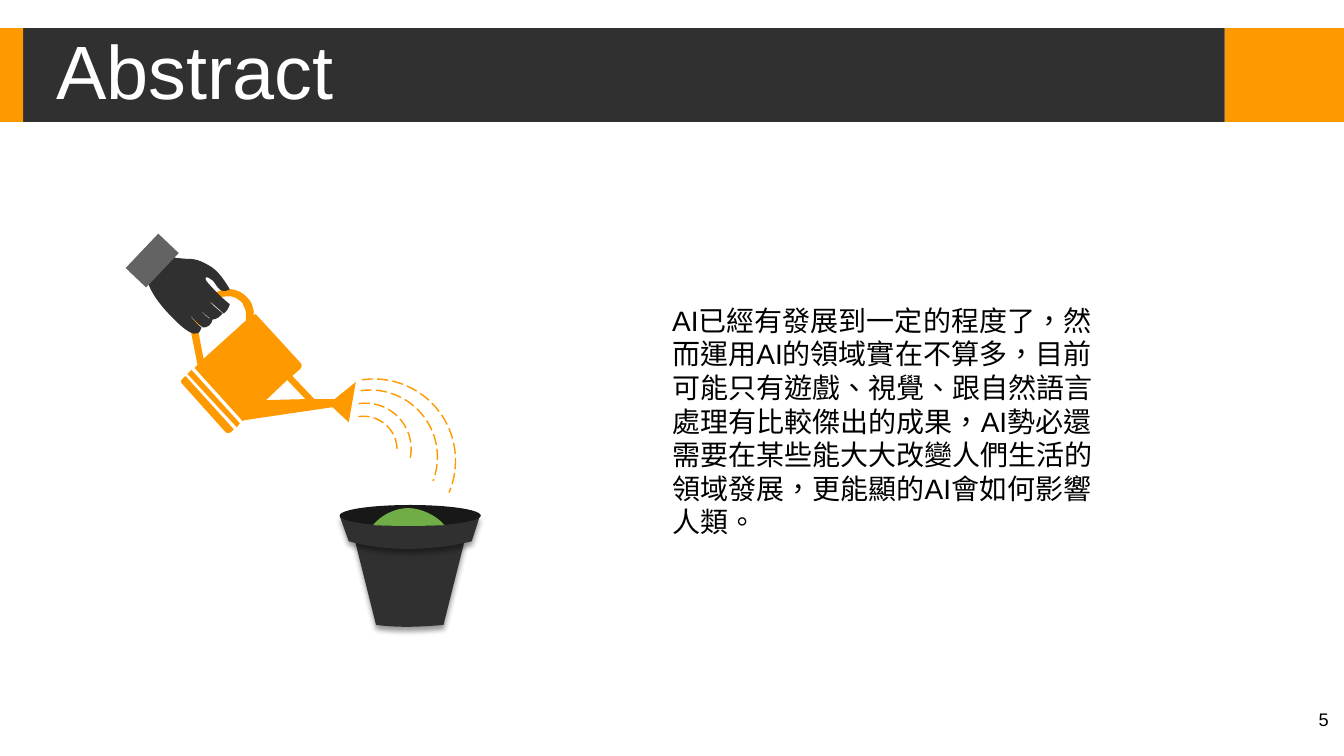
from dataclasses import dataclass

from lxml import etree
from pptx import Presentation
from pptx import util as u
from pptx.dml.color import RGBColor
from pptx.enum import dml, lang, shapes, text
from pptx.oxml import ns
from pptx.shapes.autoshape import Shape
from pptx.shapes.shapetree import GroupShapes, SlideShapes
from pptx.text.text import TextFrame

CELL = u.Inches(0.01)
COLUMNS, ROWS = 1333.33, 750
Canvas = SlideShapes | GroupShapes
Point = tuple[float, float]


@dataclass(frozen=True)
class Theme:
    font: str = "Arial"
    orange: str = "FE9900"
    dark: str = "303030"
    rim: str = "181818"
    sleeve: str = "636363"
    green: str = "70AD47"
    white: str = "FFFFFF"
    black: str = "000000"
    title_size: int = 54
    body_size: int = 20
    number_size: int = 13


THEME = Theme()


@dataclass(frozen=True)
class Area:
    column: float
    row: float
    columns: float
    rows: float

    def lengths(self) -> list[int]:
        return [round(cells * CELL) for cells in (self.column, self.row, self.columns, self.rows)]


@dataclass(frozen=True)
class Block:
    area: Area
    color: str
    kind: shapes.MSO_SHAPE = shapes.MSO_SHAPE.RECTANGLE
    rotation: float = 0


@dataclass(frozen=True)
class Outline:
    route: str
    color: str
    shadow: bool = False


@dataclass(frozen=True)
class Jet:
    column: float
    row: float
    diameter: float
    end: float


BAR_TOP, BAR_HEIGHT, BAR_SPLIT = 28, 93, 1215
BARS = [
    Block(Area(BAR_SPLIT, BAR_TOP, COLUMNS - BAR_SPLIT, BAR_HEIGHT), THEME.orange),
    Block(Area(0, BAR_TOP, BAR_SPLIT, BAR_HEIGHT), THEME.dark),
    Block(Area(0, BAR_TOP, 23, BAR_HEIGHT), THEME.orange),
]
POT = [
    Outline("M 461 536 L 440 620 C 418 622 396 623 373 620 L 352 536", THEME.dark, True),
    Outline("M 476 512 L 468 537 C 437 545 389 549 346 537 L 337 512", THEME.dark, True),
    Block(Area(337, 501, 140, 21), THEME.rim, shapes.MSO_SHAPE.OVAL),
    Outline("M 370 521 C 378 511 392 504 405 504 C 417 504 433 511 441 521 "
            "C 417 522 393 522 370 521", THEME.green),
]
CAN = Outline(
    "M 184 373 L 232 426 L 229 429 C 227 430 225 430 224 429 L 180 380 C 179 379 179 377 181 376 "
    "M 190 367 L 238 420 L 235 424 L 186 371 "
    "M 285 377 L 264 397 L 303 396 "
    "M 241 301 C 238 298 234 295 229 294 C 224 294 221 294 216 296 C 210 299 205 303 201 309 "
    "L 199 314 C 198 319 197 325 197 330 L 202 356 L 244 318 L 244 312 "
    "C 244 310 244 308 243 306 C 242 304 241 303 241 301 "
    "M 353 379 L 346 419 L 330 404 L 242 417 L 241 418 L 193 365 L 196 362 L 190 332 L 190 326 "
    "C 191 321 192 316 194 311 C 195 307 197 303 201 300 C 207 293 215 289 223 287 "
    "C 231 286 240 289 245 295 C 247 297 249 299 250 302 C 251 304 251 307 252 310 "
    "L 251 312 L 252 312 C 253 312 254 312 254 312 L 299 361 C 300 362 299 365 298 366 "
    "L 290 373 L 312 396 L 332 396", THEME.orange)
HAND = Outline(
    "M 228 287 C 216 294 215 279 209 277 C 207 275 203 274 204 277 C 204 279 212 287 220 295 "
    "L 228 302 C 227 306 224 310 222 311 L 206 297 C 212 304 215 306 221 311 "
    "C 217 315 216 316 212 317 C 206 316 198 306 198 307 C 201 310 205 316 211 317 "
    "C 210 322 206 325 202 325 C 198 324 190 313 189 314 C 192 317 196 323 200 325 "
    "C 198 330 198 331 192 331 C 188 330 182 326 174 318 C 170 314 153 298 147 281 "
    "C 146 275 144 275 141 273 L 165 248 C 169 252 169 255 175 256 C 178 256 183 257 190 257 "
    "C 199 258 203 261 210 265 C 217 270 222 277 228 287", THEME.dark)
SLEEVE = Block(Area(137, 235, 28, 47), THEME.sleeve, rotation=43.5)
JET_START, JET_TILT = 147.86, 15.2
JETS = [Jet(290, 376, 162, 4.71), Jet(301, 387, 133, 3.5), Jet(317, 400, 91, 0), Jet(327, 413, 67, 207.81)]
ABSTRACT = ("AI已經有發展到一定的程度了，然而運用AI的領域實在不算多，目前可能只有遊戲、視覺、"
            "跟自然語言處理有比較傑出的成果，AI勢必還需要在某些能大大改變人們生活的領域發展，"
            "更能顯的AI會如何影響人類。")


def paint(shape: Shape, color: str) -> None:
    shape.shadow.inherit = False
    shape.fill.solid()
    shape.fill.fore_color.rgb = RGBColor.from_string(color)
    shape.line.fill.background()


def add_shadow(shape: Shape) -> None:
    effects = shape.element.spPr.find(ns.qn("a:effectLst"))
    shadow = etree.SubElement(effects, ns.qn("a:outerShdw"), blurRad=str(u.Pt(4)),
                              dist=str(u.Pt(3)), dir="5400000", algn="t", rotWithShape="0")
    tint = etree.SubElement(shadow, ns.qn("a:srgbClr"), val=THEME.black)
    etree.SubElement(tint, ns.qn("a:alpha"), val="40000")


def read_route(route: str) -> list[tuple[str, list[Point]]]:
    steps: list[tuple[str, list[Point]]] = []
    tokens = iter(route.split())
    for command in tokens:
        values = [int(next(tokens)) * CELL for _ in range(6 if command == "C" else 2)]
        steps.append((command, list(zip(values[::2], values[1::2]))))
    return steps


def bend_curves(shape: Shape, steps: list[tuple[str, list[Point]]]) -> None:
    segments = iter(list(shape.element.iter(ns.qn("a:moveTo"), ns.qn("a:lnTo"))))
    for command, points in steps:
        first, *others = [next(segments) for _ in points]
        if command == "C":
            curve = etree.Element(ns.qn("a:cubicBezTo"))
            first.addprevious(curve)
            for segment in (first, *others):
                curve.append(segment[0])
                segment.getparent().remove(segment)


def draw_block(canvas: Canvas, block: Block) -> None:
    shape = canvas.add_shape(block.kind, *block.area.lengths())
    shape.rotation = block.rotation
    paint(shape, block.color)


def draw_outline(canvas: Canvas, outline: Outline) -> None:
    steps = read_route(outline.route)
    builder = canvas.build_freeform(*steps[0][1][0])
    for index, (command, points) in enumerate(steps[1:], start=1):
        if command == "M":
            builder.move_to(*points[0])
        else:
            closes = index + 1 == len(steps) or steps[index + 1][0] == "M"
            builder.add_line_segments(points, close=closes)
    shape = builder.convert_to_shape()
    bend_curves(shape, steps)
    paint(shape, outline.color)
    if outline.shadow:
        add_shadow(shape)


def draw_jet(canvas: Canvas, jet: Jet) -> None:
    area = Area(jet.column, jet.row, jet.diameter, jet.diameter)
    arc = canvas.add_shape(shapes.MSO_SHAPE.ARC, *area.lengths())
    arc.shadow.inherit = False
    arc.rotation = JET_TILT
    arc.adjustments[0] = JET_START
    arc.adjustments[1] = jet.end
    arc.fill.background()
    arc.line.color.rgb = RGBColor.from_string(THEME.orange)
    arc.line.width = u.Pt(1)
    arc.line.dash_style = dml.MSO_LINE.LONG_DASH


def draw_all(canvas: Canvas, parts: list[Block | Outline]) -> None:
    for part in parts:
        if isinstance(part, Block):
            draw_block(canvas, part)
        else:
            draw_outline(canvas, part)


def write(frame: TextFrame, words: str, size: int, color: str, align: text.PP_ALIGN) -> None:
    frame.text = words
    frame.word_wrap = True
    frame.auto_size = text.MSO_AUTO_SIZE.NONE
    para = frame.paragraphs[0]
    para.alignment = align
    span = para.runs[0]
    span.font.name = THEME.font
    span.font.size = u.Pt(size)
    span.font.color.rgb = RGBColor.from_string(color)
    span.font.language_id = lang.MSO_LANGUAGE_ID.TRADITIONAL_CHINESE


def main() -> None:
    deck = Presentation()
    deck.slide_width, deck.slide_height = round(COLUMNS * CELL), ROWS * CELL
    page = deck.slides.add_slide(deck.slide_layouts[5])
    draw_all(page.shapes, BARS)

    title = page.shapes.title
    title.left, title.top, title.width, title.height = Area(46, 35, 970, 79).lengths()
    write(title.text_frame, "Abstract", THEME.title_size, THEME.white, text.PP_ALIGN.LEFT)
    title.text_frame.vertical_anchor = text.MSO_ANCHOR.MIDDLE
    title.text_frame.paragraphs[0].line_spacing = 0.9
    title.element.getparent().append(title.element)

    draw_all(page.shapes.add_group_shape().shapes, POT)
    watering = page.shapes.add_group_shape().shapes
    draw_all(watering, [CAN, HAND, SLEEVE])
    for jet in JETS:
        draw_jet(watering, jet)

    body = page.shapes.add_textbox(*Area(657, 296, 441, 270).lengths())
    write(body.text_frame, ABSTRACT, THEME.body_size, THEME.black, text.PP_ALIGN.LEFT)
    number = page.shapes.add_textbox(*Area(1248, 693, 80, 57).lengths())
    write(number.text_frame, "5", THEME.number_size, THEME.black, text.PP_ALIGN.RIGHT)
    number.text_frame.margin_top = number.text_frame.margin_bottom = 10 * CELL
    deck.save("out.pptx")


if __name__ == "__main__":
    main()
